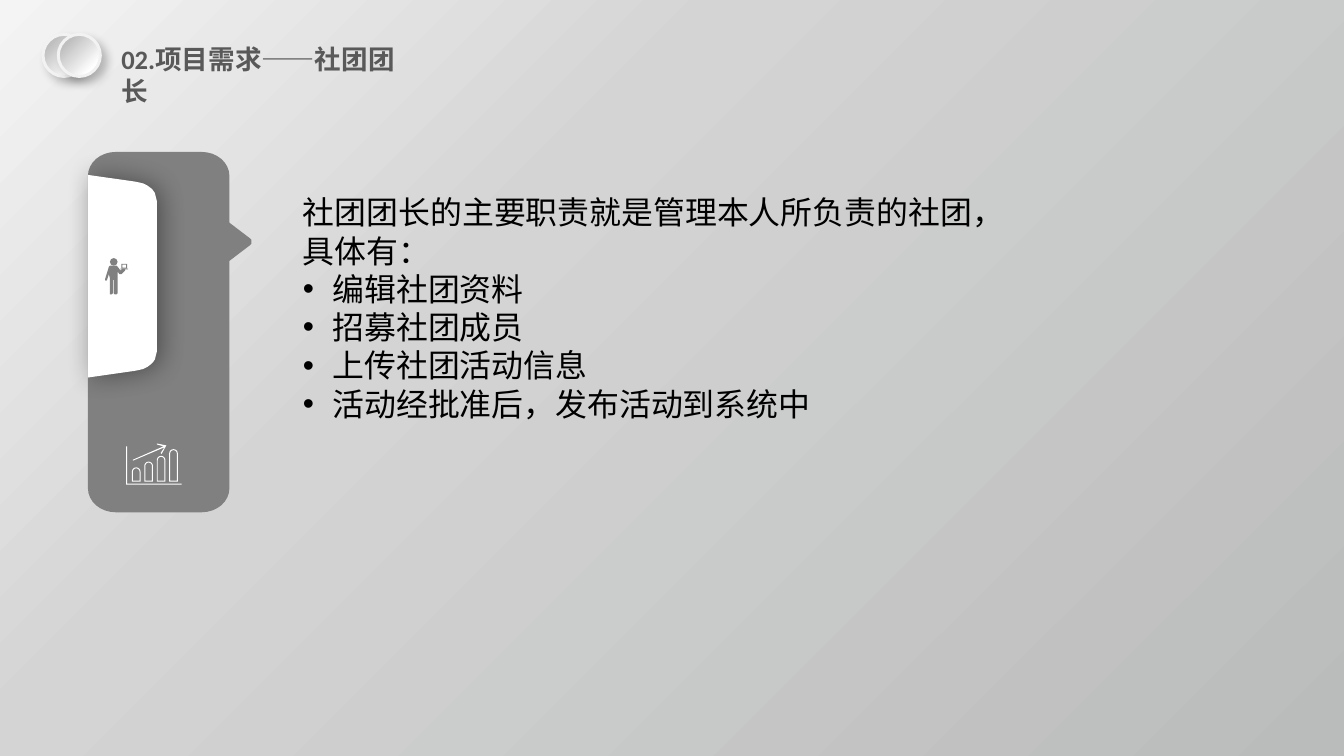
"""Build the club leader requirements slide."""
from dataclasses import dataclass
from math import cos, radians, sin

from lxml.etree import SubElement as Sub
from pptx import Presentation
from pptx.dml.color import RGBColor as Rgb
from pptx.enum.shapes import MSO_SHAPE as Kind
from pptx.enum.text import MSO_AUTO_SIZE as Fit
from pptx.oxml.ns import qn
from pptx.util import Pt

PX = 9144
GREY, WHITE = "808080", "FFFFFF"
Point = tuple[float, float]
Path = list[Point]
Stops = list[tuple[int, str]]


@dataclass
class Shade:
    alpha: int
    blur: float
    dist: float
    angle: int


@dataclass
class Form:
    paths: list[Path]
    fill: str
    shade: Shade | None = None


@dataclass
class Label:
    box: tuple[int, int, int, int]
    lines: list[str]
    size: int
    color: str
    bold: bool = False


def arc(x: float, y: float, rx: float, ry: float, start: int, sweep: int = 90) -> Path:
    turns = [radians(start + sweep * i / 8) for i in range(9)]
    return [(x + rx * cos(t), y + ry * sin(t)) for t in turns]


def rect(x: int, y: int, w: int, h: int) -> Path:
    return [(x, y), (x + w, y), (x + w, y + h), (x, y + h)]


def arch(x: int, y: int, w: int, base: int) -> Path:
    half = w / 2
    return [(x, base), *arc(x + half, y + half, half, half, 180, 180), (x + w, base)]


def bar(step: int) -> Form:
    x, y = 138 + 13 * step, 489 - 19 * step // 3
    return Form([arch(x, y, 9, 504), arch(x + 1, y + 1, 7, 503)], WHITE)


def paint(fill, color: str) -> None:
    fill.solid()
    fill.fore_color.rgb = Rgb.from_string(color)


def blend(node, stops: Stops) -> None:
    grad = node.makeelement(qn("a:gradFill"), {"rotWithShape": "1"})
    items = Sub(grad, qn("a:gsLst"))
    for place, color in stops:
        stop = Sub(items, qn("a:gs"), pos=str(place * 1000))
        Sub(stop, qn("a:srgbClr"), val=color)
    Sub(grad, qn("a:lin"), ang="2700000", scaled="0")
    node.replace(node.find(qn("a:solidFill")), grad)


def cast(shape, shade: Shade | None) -> None:
    shape.shadow.inherit = False
    if shade:
        effect = shape.element.spPr.find(qn("a:effectLst"))
        outer = Sub(effect, qn("a:outerShdw"), blurRad=str(Pt(shade.blur)),
                    dist=str(Pt(shade.dist)), dir=str(shade.angle * 60000),
                    algn="ctr", rotWithShape="0")
        color = Sub(outer, qn("a:srgbClr"), val="000000")
        Sub(color, qn("a:alpha"), val=str(shade.alpha * 1000))


def draw(shapes, form: Form) -> None:
    paths = [[(round(x * PX), round(y * PX)) for x, y in path] for path in form.paths]
    pen = shapes.build_freeform(*paths[0][0], 1.0)
    for path in paths:
        if path is not paths[0]:
            pen.move_to(*path[0])
        pen.add_line_segments(path[1:], close=True)
    shape = pen.convert_to_shape()
    paint(shape.fill, form.fill)
    shape.line.fill.background()
    cast(shape, form.shade)


def disc(shapes, left: int) -> None:
    shape = shapes.add_shape(Kind.OVAL, left * PX, 36 * PX, 44 * PX, 44 * PX)
    paint(shape.fill, WHITE)
    blend(shape.element.spPr, [(20, "BFBFBF"), (80, WHITE), (100, WHITE)])
    paint(shape.line.fill, "F2F2F2")
    shape.line.width = Pt(2.25)
    cast(shape, Shade(23, 7, 5.9, 45))


def write(shapes, label: Label) -> None:
    frame = shapes.add_textbox(*(n * PX for n in label.box)).text_frame
    frame.word_wrap = True
    frame.auto_size = Fit.SHAPE_TO_FIT_TEXT
    frame.text = "\n".join(label.lines)
    for para in frame.paragraphs:
        for run in para.runs:
            font = run.font
            font.name, font.size, font.bold = "Calibri", Pt(label.size), label.bold
            font.color.rgb = Rgb.from_string(label.color)
    for para in frame.paragraphs[1:]:
        props = para._p.get_or_add_pPr()
        props.set("marL", str(31 * PX))
        props.set("indent", str(-31 * PX))
        Sub(props, qn("a:buFont"), typeface="Arial")
        Sub(props, qn("a:buChar"), char="•")


CARD = Form([[
    *arc(121, 184, 29, 25, 180), *arc(211, 184, 29, 25, 270),
    (240, 233), (261, 249), (263, 251), (263, 255), (261, 257), (240, 273),
    *arc(211, 511, 29, 25, 0), *arc(121, 511, 29, 25, 90),
]], GREY)

EDGE = [(92, 183), (141, 190), (146, 191), (150, 192), (154, 194),
        (158, 197), (160, 199), (162, 202), (163, 206), (164, 210)]
PANEL = Form([EDGE + [(x, 578 - y) for x, y in reversed(EDGE)]],
             WHITE, Shade(40, 20, 3, 0))

WAITER = [
    PANEL,
    Form([arc(119, 274, 4, 4, 0, 360)], GREY),
    Form([rect(127, 276, 6, 5), rect(128, 277, 4, 3)], GREY),
    Form([[
        (116, 278), (122, 278), (123, 279), (126, 283), (128, 282), (126, 282),
        (126, 281), (134, 281), (134, 282), (131, 282), (131, 283), (127, 287),
        (125, 287), (123, 284), (123, 307), (122, 308), (120, 308), (119, 307),
        (119, 293), (118, 293), (118, 307), (117, 308), (115, 308), (115, 291),
        (114, 287), (112, 293), (111, 294), (110, 293), (110, 292), (114, 279),
        (115, 278),
    ]], GREY),
]

CHART = [
    Form([[(132, 467), (133, 467), (133, 506), (190, 506), (190, 507), (132, 507)]], WHITE),
    *(bar(step) for step in range(4)),
    Form([[(164, 464), (174, 466), (169, 475), (168, 474), (172, 468),
           (139, 482), (139, 481), (171, 467), (164, 465)]], WHITE),
]

TITLE = Label((117, 40, 328, 44), ["02.项目需求——社团团长"], 20, "595959", True)
DUTIES = Label((307, 197, 770, 252), [
    "社团团长的主要职责就是管理本人所负责的社团，具体有：",
    "编辑社团资料",
    "招募社团成员",
    "上传社团活动信息",
    "活动经批准后，发布活动到系统中",
], 24, "000000")


def main() -> None:
    deck = Presentation()
    deck.slide_width, deck.slide_height = 1406 * PX, 791 * PX
    slide = deck.slides.add_slide(deck.slide_layouts[6])
    paint(slide.background.fill, WHITE)
    ground = slide.element.find(".//" + qn("p:bgPr"))
    blend(ground, [(0, "F4F4F4"), (35, "D4D4D4"), (100, "BABBBB")])
    shapes = slide.shapes
    draw(shapes, CARD)
    for forms in (WAITER, CHART):
        group = shapes.add_group_shape()
        for form in forms:
            draw(group.shapes, form)
    write(shapes, TITLE)
    for left in (45, 61):
        disc(shapes, left)
    write(shapes, DUTIES)
    deck.save("out.pptx")


if __name__ == "__main__":
    main()
